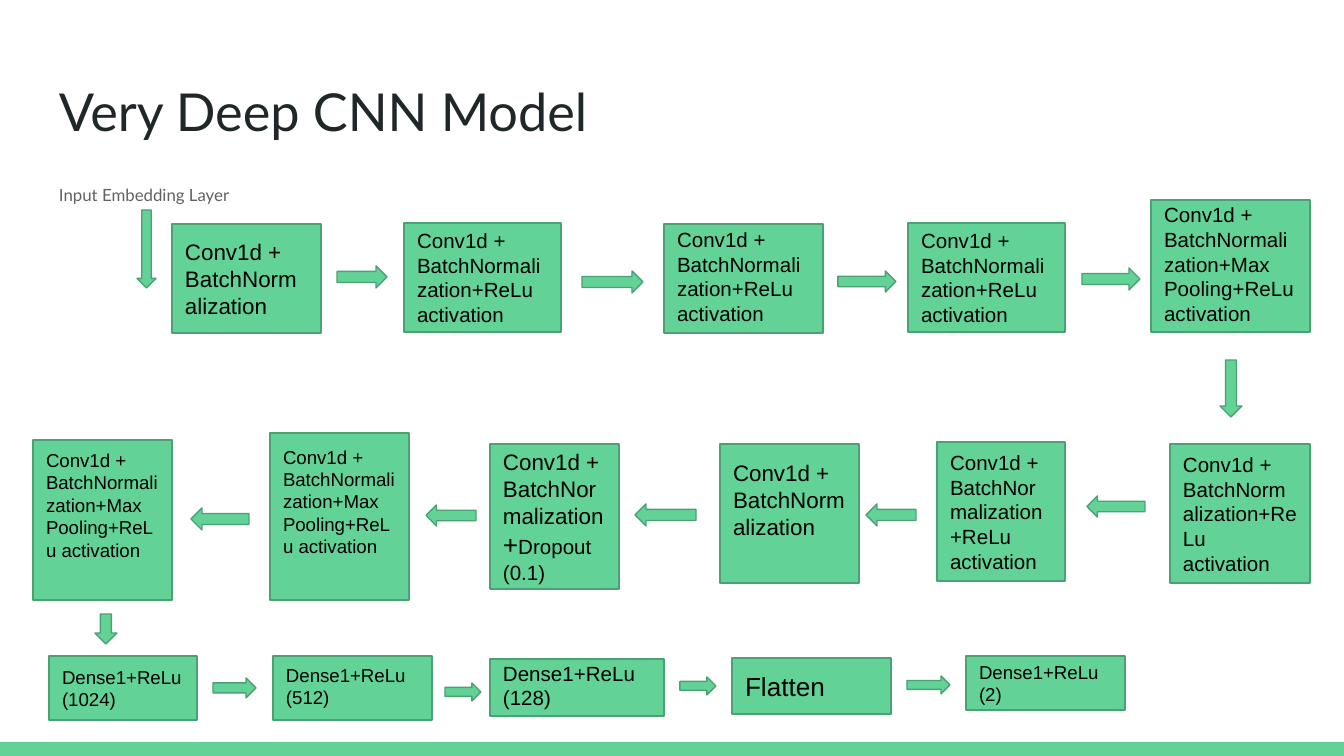
from pptx import Presentation
from pptx.dml.color import RGBColor
from pptx.enum.shapes import MSO_SHAPE
from pptx.enum.text import MSO_ANCHOR, MSO_AUTO_SIZE, PP_ALIGN
from pptx.util import Emu, Pt
from lxml.etree import SubElement
from pptx.oxml.ns import qn

PIXEL = 9144000 / 1344
GREEN, EDGE, INK, GREY, BLACK = "63D297", "4BA173", "202729", "616161", "000000"
INSET = 13


def px(length):
    """Turn picture pixels into EMU."""
    return Emu(round(length * PIXEL))


def color(value):
    """Turn a hex string into a colour."""
    return RGBColor.from_string(value)


class FlowSlide:
    """Holds the style and the current slide."""

    def __init__(self, deck):
        """Add a title and content slide."""
        self.slide = deck.slides.add_slide(deck.slide_layouts[1])

    def add_run(self, para, text, size, font, ink):
        """Append one formatted run."""
        span = para.add_run()
        span.text = text
        span.font.size = Pt(size)
        span.font.name = font
        span.font.color.rgb = color(ink)

    def set_placeholder(self, index, bounds, text, size, ink):
        """Place a template placeholder and write its line."""
        box = self.slide.placeholders[index]
        box.left, box.top, box.width, box.height = map(px, bounds)
        frame = box.text_frame
        frame.auto_size = MSO_AUTO_SIZE.NONE
        frame.vertical_anchor = MSO_ANCHOR.TOP
        frame.margin_left = frame.margin_right = px(INSET)
        frame.margin_top = frame.margin_bottom = px(INSET)
        para = frame.paragraphs[0]
        para.alignment = PP_ALIGN.LEFT
        para.space_before = Pt(0)
        self.add_run(para, text, size, "Lato", ink)
        return para

    def title(self, text):
        """Write the slide title."""
        self.set_placeholder(0, (46, 66, 1253, 85), text, 28, INK)

    def body(self, text):
        """Write the body line without a bullet."""
        para = self.set_placeholder(1, (46, 169, 1253, 503), text, 9, GREY)
        para.line_spacing = 1.15
        para.space_after = Pt(16)
        properties = para._p.get_or_add_pPr()
        properties.set("marL", "0")
        properties.set("indent", "0")
        SubElement(properties, qn("a:buNone"))

    def shape(self, kind, bounds, edge=EDGE):
        """Add a flat green shape, outlined unless edge is None."""
        shape = self.slide.shapes.add_shape(kind, *map(px, bounds))
        shape.shadow.inherit = False
        shape.fill.solid()
        shape.fill.fore_color.rgb = color(GREEN)
        if edge:
            shape.line.color.rgb = color(edge)
            shape.line.width = Pt(0.75)
        else:
            shape.line.fill.background()
        return shape

    def layer(self, bounds, size, lift, lines):
        """Add a layer box whose centred text is raised by lift pixels."""
        frame = self.shape(MSO_SHAPE.RECTANGLE, bounds).text_frame
        frame.word_wrap = True
        frame.vertical_anchor = MSO_ANCHOR.MIDDLE
        frame.margin_left = frame.margin_right = px(INSET)
        frame.margin_top, frame.margin_bottom = px(0), px(2 * lift)
        for number, line in enumerate(lines):
            para = frame.add_paragraph() if number else frame.paragraphs[0]
            para.alignment = PP_ALIGN.LEFT
            runs = [(line, size)] if isinstance(line, str) else line
            for text, run_size in runs:
                self.add_run(para, text, run_size, "Arial", BLACK)


CONV = "Conv1d +"
NORM = [CONV, "BatchNormalization"]
RELU = [CONV, "BatchNormalization+ReLu activation"]
POOL = [CONV, "BatchNormalization+Max Pooling+ReLu activation"]
DROPOUT = NORM + [[("+", 14), ("Dropout", 11)], [("(0.1)", 11)]]


def dense(units):
    """Give the lines of a dense layer."""
    return ["Dense1+ReLu", f"({units})"]


# Bounds, text size, lift, lines
LAYERS = [
    ((172, 224, 149, 109), 12, 0, NORM),
    ((404, 223, 157, 109), 11, 0, RELU),
    ((664, 224, 159, 109), 11, 2, RELU),
    ((908, 223, 157, 109), 11, 0, RELU),
    ((1151, 200, 159, 132), 11, 2, POOL),
    ((1170, 444, 140, 139), 11, 0, RELU),
    ((937, 442, 128, 139), 11, 0, RELU),
    ((720, 444, 139, 139), 12, 14, NORM),
    ((490, 444, 129, 145), 12, 0, DROPOUT),
    ((270, 433, 139, 167), 10, 15, POOL),
    ((33, 440, 139, 160), 10, 15, POOL),
    ((49, 656, 148, 64), 10, 0, dense(1024)),
    ((273, 656, 159, 64), 10, 2, dense(512)),
    ((490, 659, 174, 57), 11, 2, dense(128)),
    ((732, 658, 159, 56), 14, 0, ["Flatten"]),
    ((966, 656, 159, 54), 10, 0, dense(2)),
]

ARROWS = {
    MSO_SHAPE.RIGHT_ARROW: [
        (337, 266, 50, 22), (582, 271, 61, 22), (838, 271, 58, 21),
        (1082, 268, 58, 22), (213, 678, 43, 20), (445, 683, 36, 18),
        (680, 677, 36, 18), (907, 676, 43, 18),
    ],
    MSO_SHAPE.LEFT_ARROW: [
        (1087, 496, 58, 21), (866, 504, 50, 22), (635, 504, 61, 22),
        (426, 505, 50, 21), (191, 508, 58, 22),
    ],
    MSO_SHAPE.DOWN_ARROW: [
        (137, 210, 19, 78), (1220, 360, 22, 57), (95, 614, 22, 30),
    ],
}

deck = Presentation()
deck.slide_width, deck.slide_height = px(1344), px(756)
page = FlowSlide(deck)
page.title("Very Deep CNN Model")
page.body("Input Embedding Layer")
page.shape(MSO_SHAPE.RECTANGLE, (0, 742, 1344, 14), edge=None)
for layer in LAYERS:
    page.layer(*layer)
for direction, places in ARROWS.items():
    for place in places:
        page.shape(direction, place)
deck.save("out.pptx")
